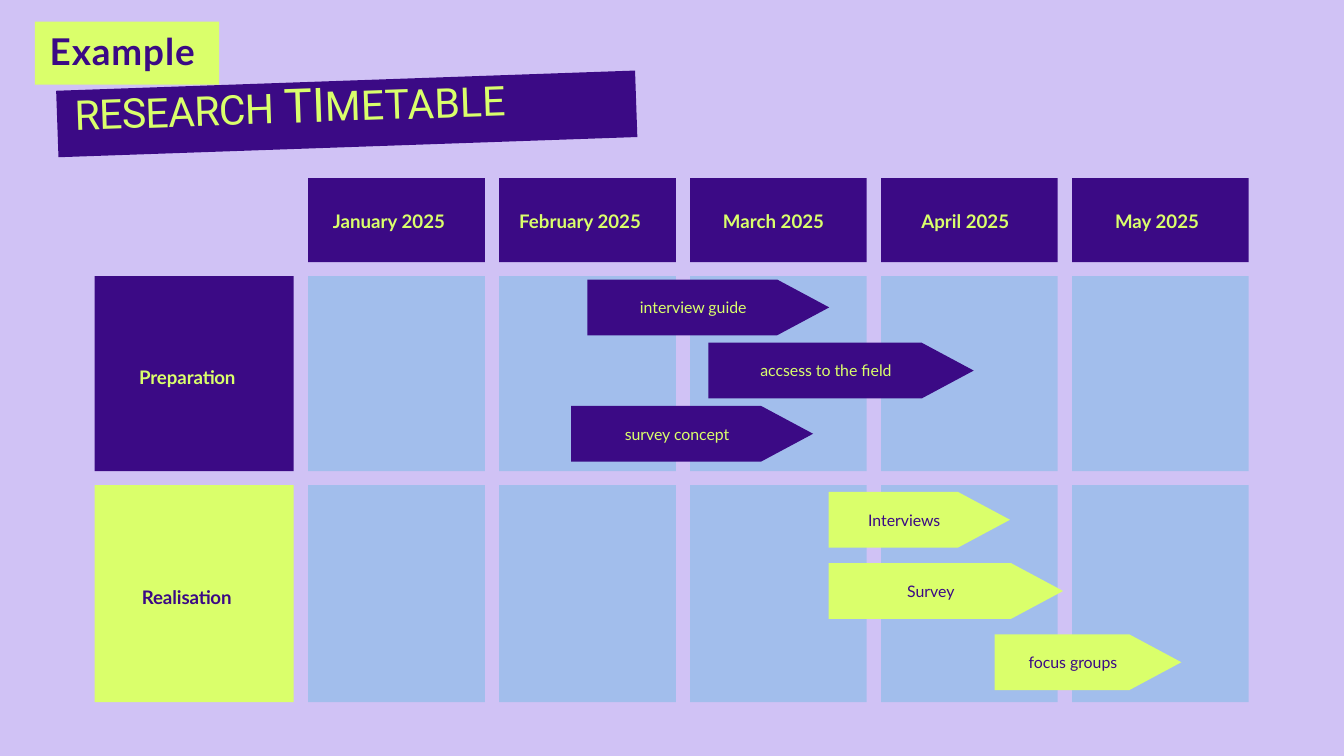
from dataclasses import dataclass

from pptx import Presentation
from pptx.dml.color import RGBColor
from pptx.enum.shapes import MSO_SHAPE
from pptx.enum.text import MSO_ANCHOR, MSO_AUTO_SIZE, PP_ALIGN
from pptx.util import Inches, Pt

LILAC, BLUE, PURPLE, LIME = "D0C2F5", "A2BEEC", "3B0A85", "DAFF6B"

# Grid of the timetable, in inches
LABEL_X, LABEL_W = 1.41, 2.96
MONTH_X, MONTH_W, MONTH_STEP = 4.585, 2.63, 2.842
HEADER_Y, HEADER_H = 2.65, 1.25
ARROW_H, TIP = 0.83, 0.775


@dataclass
class Month:
    name: str
    indent: float


@dataclass
class Task:
    name: str
    x: float
    y: float
    w: float


@dataclass
class Phase:
    name: str
    y: float
    h: float
    indent: float
    fill: str
    color: str
    tasks: list[Task]


MONTHS = [
    Month("January 2025", 0.37),
    Month("February 2025", 0.3),
    Month("March 2025", 0.49),
    Month("April 2025", 0.6),
    Month("May 2025", 0.64),
]
PHASES = [
    Phase("Preparation", 4.11, 2.9, 0.66, PURPLE, LIME, [
        Task("interview guide", 8.74, 4.16, 3.6),
        Task("accsess to the field", 10.54, 5.1, 3.95),
        Task("survey concept", 8.5, 6.04, 3.6),
    ]),
    Phase("Realisation", 7.22, 3.23, 0.7, LIME, PURPLE, [
        Task("Interviews", 12.33, 7.32, 2.7),
        Task("Survey", 12.33, 8.38, 3.49),
        Task("focus groups", 14.8, 9.44, 2.78),
    ]),
]


def paint(target, color: str) -> None:
    """Give a shape, background or font a solid colour."""
    target.fill.solid()
    target.fill.fore_color.rgb = RGBColor.from_string(color)


def add_block(s, kind, x: float, y: float, w: float, h: float, fill: str):
    sp = s.shapes.add_shape(kind, Inches(x), Inches(y), Inches(w), Inches(h))
    sp.shadow.inherit = False
    sp.line.fill.background()
    paint(sp, fill)
    return sp


def set_frame(sp, left=0.0, top=0.0, right=0.0, bottom=0.0):
    """Set insets in inches and centre the text vertically."""
    tf = sp.text_frame
    tf.word_wrap = True
    tf.auto_size = MSO_AUTO_SIZE.NONE
    tf.vertical_anchor = MSO_ANCHOR.MIDDLE
    tf.margin_left, tf.margin_top = Inches(left), Inches(top)
    tf.margin_right, tf.margin_bottom = Inches(right), Inches(bottom)
    return tf.paragraphs[0]


def write(p, text: str, size: float, color: str, bold=False, align=PP_ALIGN.LEFT,
          spacing=0) -> None:
    """Fill a paragraph; spacing is in hundredths of a point."""
    p.text = text
    p.alignment = align
    p.font.name = "Lato"
    p.font.size = Pt(size)
    p.font.bold = bold
    paint(p.font, color)
    p.runs[0].font._element.set("spc", str(spacing))


def add_title(s) -> None:
    sp = s.shapes.title
    sp.left, sp.top, sp.width, sp.height = (Inches(v) for v in (0.52, 0.32, 2.74, 0.94))
    paint(sp, LIME)
    write(set_frame(sp, left=0.22, bottom=0.07), "Example", 39.5, PURPLE, bold=True, spacing=100)


def add_banner(s) -> None:
    sp = add_block(s, MSO_SHAPE.RECTANGLE, 0.85, 1.2, 8.62, 0.99, PURPLE)
    sp.rotation = -2
    p = set_frame(sp, left=0.26, bottom=0.17)
    p.alignment = PP_ALIGN.LEFT
    p.line_spacing = Pt(47.8)
    p.font.name = "Roboto"
    paint(p.font, LIME)
    for text, size, spacing in (("RESEARCH ", 44, -75), ("TI", 51, -10), ("METABLE", 44, 0)):
        r = p.add_run()
        r.text = text
        r.font.size = Pt(size)
        r.font._element.set("spc", str(spacing))


def add_month(s, month: Month, x: float) -> None:
    sp = add_block(s, MSO_SHAPE.RECTANGLE, x, HEADER_Y, MONTH_W, HEADER_H, PURPLE)
    write(set_frame(sp, left=month.indent, top=0.03), month.name, 20, LIME, bold=True)


def add_phase(s, phase: Phase) -> None:
    for i in range(len(MONTHS)):
        add_block(s, MSO_SHAPE.RECTANGLE, MONTH_X + i * MONTH_STEP, phase.y,
                  MONTH_W, phase.h, BLUE)
    sp = add_block(s, MSO_SHAPE.RECTANGLE, LABEL_X, phase.y, LABEL_W, phase.h, phase.fill)
    write(set_frame(sp, left=phase.indent, top=0.1), phase.name, 20, phase.color,
          bold=True, spacing=-10)
    for task in phase.tasks:
        add_task(s, task, phase)


def add_task(s, task: Task, phase: Phase) -> None:
    sp = add_block(s, MSO_SHAPE.PENTAGON, task.x, task.y, task.w, ARROW_H, phase.fill)
    sp.adjustments[0] = TIP / ARROW_H
    write(set_frame(sp, right=0.06), task.name, 17, phase.color,
          align=PP_ALIGN.CENTER, spacing=-5)


def main() -> None:
    prs = Presentation()
    prs.slide_width, prs.slide_height = Inches(20), Inches(11.25)
    s = prs.slides.add_slide(prs.slide_layouts[5])
    paint(s.background, LILAC)

    # Heading
    add_title(s)
    add_banner(s)

    # Timetable
    for i, month in enumerate(MONTHS):
        add_month(s, month, MONTH_X + i * MONTH_STEP)
    for phase in PHASES:
        add_phase(s, phase)

    prs.save("out.pptx")


if __name__ == "__main__":
    main()
